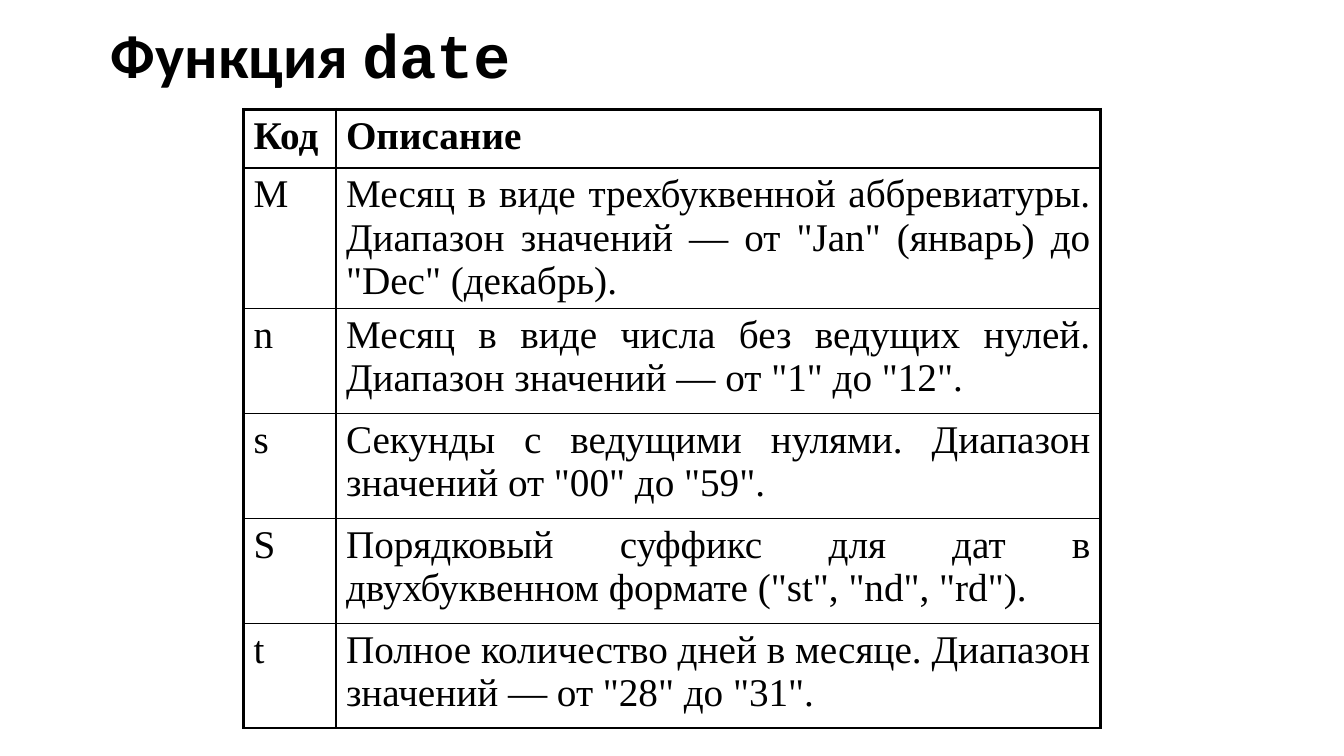
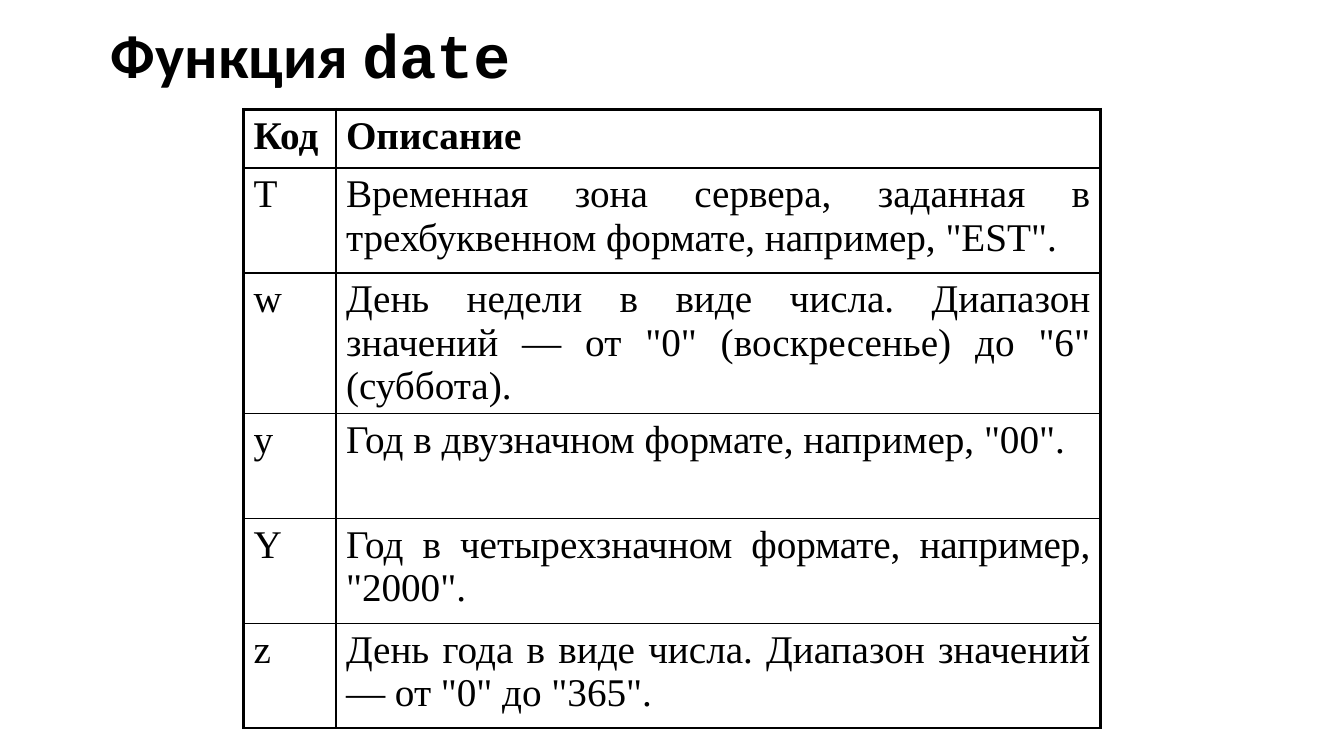
from pptx import Presentation
from pptx import util as u
from pptx.dml.color import RGBColor
from pptx.enum import text
from pptx.oxml.ns import qn
from lxml import etree

BLACK = RGBColor(0x00, 0x00, 0x00)
OUTER, INNER = u.Pt(2.25), u.Pt(1)

deck = Presentation()
deck.slide_height = u.Inches(7.5)
GRID = deck.slide_height // 90
deck.slide_width = 160 * GRID

HEADER = ("Код", "Описание")
CODE_LISTS = [
    [
        ("M", 'Месяц в виде трехбуквенной аббревиатуры. Диапазон значений — от "Jan" (январь) до "Dec" (декабрь).'),
        ("n", 'Месяц в виде числа без ведущих нулей. Диапазон значений — от "1" до "12".'),
        ("s", 'Секунды с ведущими нулями. Диапазон значений от "00" до "59".'),
        ("S", 'Порядковый суффикс для дат в двухбуквенном формате ("st", "nd", "rd").'),
        ("t", 'Полное количество дней в месяце. Диапазон значений — от "28" до "31".'),
    ],
    [
        ("Т", 'Временная зона сервера, заданная в трехбуквенном формате, например, "EST".'),
        ("w", 'День недели в виде числа. Диапазон значений — от "0" (воскресенье) до "6" (суббота).'),
        ("y", 'Год в двузначном формате, например, "00".'),
        ("Y", 'Год в четырехзначном формате, например, "2000".'),
        ("z", 'День года в виде числа. Диапазон значений — от "0" до "365".'),
    ],
]


def add_heading(slide):
    """Place the title and set its two typefaces."""
    heading = slide.shapes.title
    heading.left, heading.top = 12 * GRID, 2 * GRID
    heading.width, heading.height = 136 * GRID, 10 * GRID
    heading.text_frame.vertical_anchor = text.MSO_ANCHOR.MIDDLE
    line = heading.text_frame.paragraphs[0]
    line.alignment = text.PP_ALIGN.LEFT
    line.line_spacing = 0.9
    line.font.size, line.font.bold = u.Pt(44), True
    line.font.color.rgb = BLACK
    for wording, typeface in (("Функция ", "Calibri"), ("date", "Courier New")):
        part = line.add_run()
        part.text = wording
        part.font.name = typeface


def set_borders(cell, widths):
    """Draw solid black cell borders from a side-to-width mapping."""
    for side, width in widths.items():
        border = etree.SubElement(cell._tc.get_or_add_tcPr(), qn("a:ln" + side), w=str(width))
        fill = etree.SubElement(border, qn("a:solidFill"))
        etree.SubElement(fill, qn("a:srgbClr"), val=str(BLACK))


for codes in CODE_LISTS:
    slide = deck.slides.add_slide(deck.slide_layouts[5])
    add_heading(slide)

    rows = [HEADER, *codes]
    last_row, last_column = len(rows) - 1, len(HEADER) - 1
    code_table = slide.shapes.add_table(
        len(rows), len(HEADER), 29 * GRID, 13 * GRID, 102 * GRID, 75 * GRID
    ).table
    code_table.first_row = code_table.horz_banding = False
    for column, span in zip(code_table.columns, (11, 91)):
        column.width = span * GRID

    for r, row in enumerate(rows):
        code_table.rows[r].height = 7 * GRID if r == 0 else 25 * GRID // 2
        for c, wording in enumerate(row):
            cell = code_table.cell(r, c)
            cell.text = wording
            entry = cell.text_frame.paragraphs[0]
            entry.alignment = text.PP_ALIGN.JUSTIFY
            entry.font.name, entry.font.size = "Times New Roman", u.Pt(28)
            entry.font.bold = r == 0
            entry.font.color.rgb = BLACK
            set_borders(cell, {
                "L": OUTER if c == 0 else INNER,
                "R": OUTER if c == last_column else INNER,
                "T": OUTER if r == 0 else INNER,
                "B": OUTER if r == last_row else INNER,
            })
            cell.fill.background()

deck.save("out.pptx")
